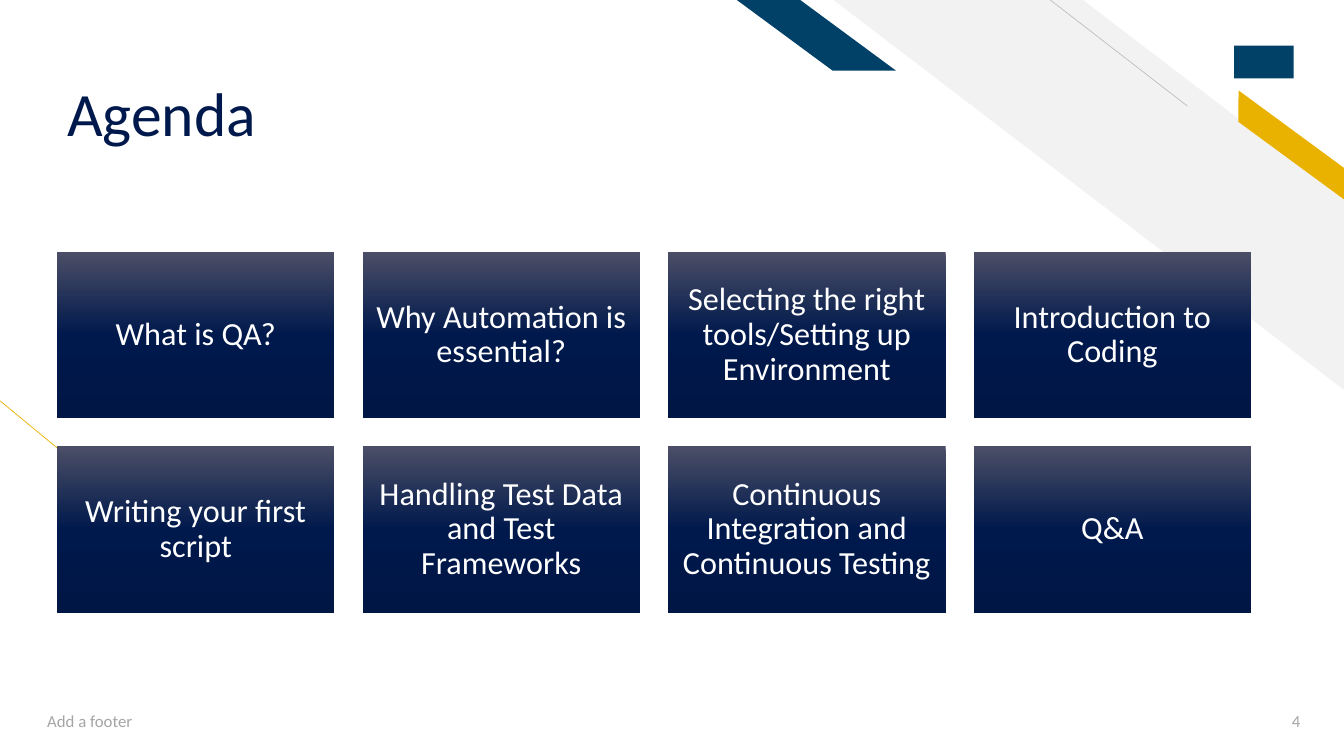
from copy import deepcopy
from dataclasses import dataclass

from lxml.etree import SubElement
from pptx import Presentation
from pptx.dml.color import RGBColor
from pptx.enum.shapes import MSO_CONNECTOR as Link, MSO_SHAPE as Form
from pptx.enum.text import MSO_ANCHOR as Anchor, PP_ALIGN as Align
from pptx.oxml.ns import qn
from pptx.shapes.autoshape import Shape
from pptx.util import Cm, Pt

NAVY = RGBColor(0x00, 0x19, 0x4C)
SLATE = RGBColor(0x4B, 0x4E, 0x66)
DARK = RGBColor(0x00, 0x16, 0x44)
TEAL = RGBColor(0x01, 0x40, 0x67)
GOLD = RGBColor(0xEA, 0xB2, 0x00)
PALE = RGBColor(0xF2, 0xF2, 0xF2)
SILVER = RGBColor(0xBF, 0xBF, 0xBF)
GREY = RGBColor(0xA5, 0xA5, 0xA5)
WHITE = RGBColor(0xFF, 0xFF, 0xFF)

FONT = "Calibri"
SHADES = ((0, SLATE), (0.5, NAVY), (1, DARK))
TOPICS = (
    "What is QA?",
    "Why Automation is essential?",
    "Selecting the right tools/Setting up Environment",
    "Introduction to Coding",
    "Writing your first script",
    "Handling Test Data and Test Frameworks",
    "Continuous Integration and Continuous Testing",
    "Q&A",
)
COLS = 4
LEFT, TOP = 1.44, 6.35
CARD_W, CARD_H = 6.99, 4.19
GAP = 0.71


@dataclass
class Box:
    left: float
    top: float
    width: float
    height: float

    def place(self) -> tuple[Cm, Cm, Cm, Cm]:
        return Cm(self.left), Cm(self.top), Cm(self.width), Cm(self.height)


@dataclass
class Band:
    form: Form
    box: Box
    slant: float
    color: RGBColor
    turn: float = 0


@dataclass
class Rule:
    start: tuple[float, float]
    end: tuple[float, float]
    color: RGBColor


@dataclass
class Label:
    text: str
    box: Box
    size: int
    color: RGBColor
    align: Align = Align.LEFT
    anchor: Anchor = Anchor.MIDDLE
    foot: float = 0.13
    pitch: float = 1.0


BANDS = (
    Band(Form.DIAGONAL_STRIPE, Box(21.01, 0, 12.87, 9.83), 0.512, PALE),
    Band(Form.PARALLELOGRAM, Box(30.66, 3.33, 3.76, 0.64), 0.72, GOLD, 36.3),
    Band(Form.PARALLELOGRAM, Box(18.57, 0, 4.01, 1.78), 1.356, TEAL),
)
RULES = (
    Rule((5.28, 14.45), (0, 10.1), GOLD),
    Rule((29.92, 2.67), (26.47, 0), SILVER),
)
LABELS = (
    Label("Add a footer", Box(0.94, 17.65, 11.43, 1.02), 12, GREY),
    Label("4", Box(30.96, 17.65, 2.06, 1.02), 12, GREY, Align.RIGHT),
    Label("Agenda", Box(1.44, 0.58, 23.14, 3.2), 44, NAVY,
          anchor=Anchor.BOTTOM, foot=0, pitch=0.9),
)
BADGE = Box(31.1, 1.15, 1.5, 0.83)

deck = Presentation()
deck.slide_width, deck.slide_height = Cm(33.87), Cm(19.05)
slide = deck.slides.add_slide(deck.slide_layouts[6])
shapes = slide.shapes


def add_form(form: Form, box: Box) -> Shape:
    """Add a preset shape without outline or shadow."""
    shape = shapes.add_shape(form, *box.place())
    shape.shadow.inherit = False
    shape.line.fill.background()
    return shape


def add_solid(form: Form, box: Box, color: RGBColor) -> Shape:
    shape = add_form(form, box)
    shape.fill.solid()
    shape.fill.fore_color.rgb = color
    return shape


def add_band(band: Band) -> None:
    shape = add_solid(band.form, band.box, band.color)
    shape.adjustments[0] = band.slant
    shape.rotation = band.turn
    shape.element.spPr.find(qn("a:xfrm")).set("flipH", "1")


def add_rule(rule: Rule) -> None:
    ends = [Cm(value) for value in (*rule.start, *rule.end)]
    line = shapes.add_connector(Link.STRAIGHT, *ends)
    line.line.color.rgb = rule.color
    line.line.width = Pt(0.5)
    SubElement(line.element.spPr, qn("a:effectLst"))


def write(shape: Shape, label: Label) -> None:
    frame = shape.text_frame
    frame.word_wrap = True
    frame.vertical_anchor = label.anchor
    frame.margin_left = frame.margin_right = Cm(0.25)
    frame.margin_top, frame.margin_bottom = Cm(0.13), Cm(label.foot)
    para = frame.paragraphs[0]
    para.alignment = label.align
    para.line_spacing = label.pitch
    run = para.add_run()
    run.text = label.text
    run.font.name = FONT
    run.font.size = Pt(label.size)
    run.font.color.rgb = label.color


def shade(shape: Shape) -> None:
    """Fill with the three-stop gradient, from top to bottom."""
    fill = shape.fill
    fill.gradient()
    fill.gradient_angle = 270
    stops = shape.element.spPr.find(f".//{qn('a:gsLst')}")
    stops.append(deepcopy(stops[-1]))
    for stop, (place, color) in zip(fill.gradient_stops, SHADES):
        stop.position = place
        stop.color.rgb = color


def add_card(index: int, topic: str) -> None:
    row, col = divmod(index, COLS)
    box = Box(LEFT + col * (CARD_W + GAP), TOP + row * (CARD_H + GAP),
              CARD_W, CARD_H)
    card = add_form(Form.RECTANGLE, box)
    shade(card)
    write(card, Label(topic, box, 23, WHITE, Align.CENTER, pitch=0.9))


def main() -> None:
    for rule in RULES[:1]:
        add_rule(rule)
    for band in BANDS:
        add_band(band)
    for rule in RULES[1:]:
        add_rule(rule)
    add_solid(Form.RECTANGLE, BADGE, TEAL)
    for label in LABELS:
        write(shapes.add_textbox(*label.box.place()), label)
    for index, topic in enumerate(TOPICS):
        add_card(index, topic)
    deck.save("out.pptx")


if __name__ == "__main__":
    main()
